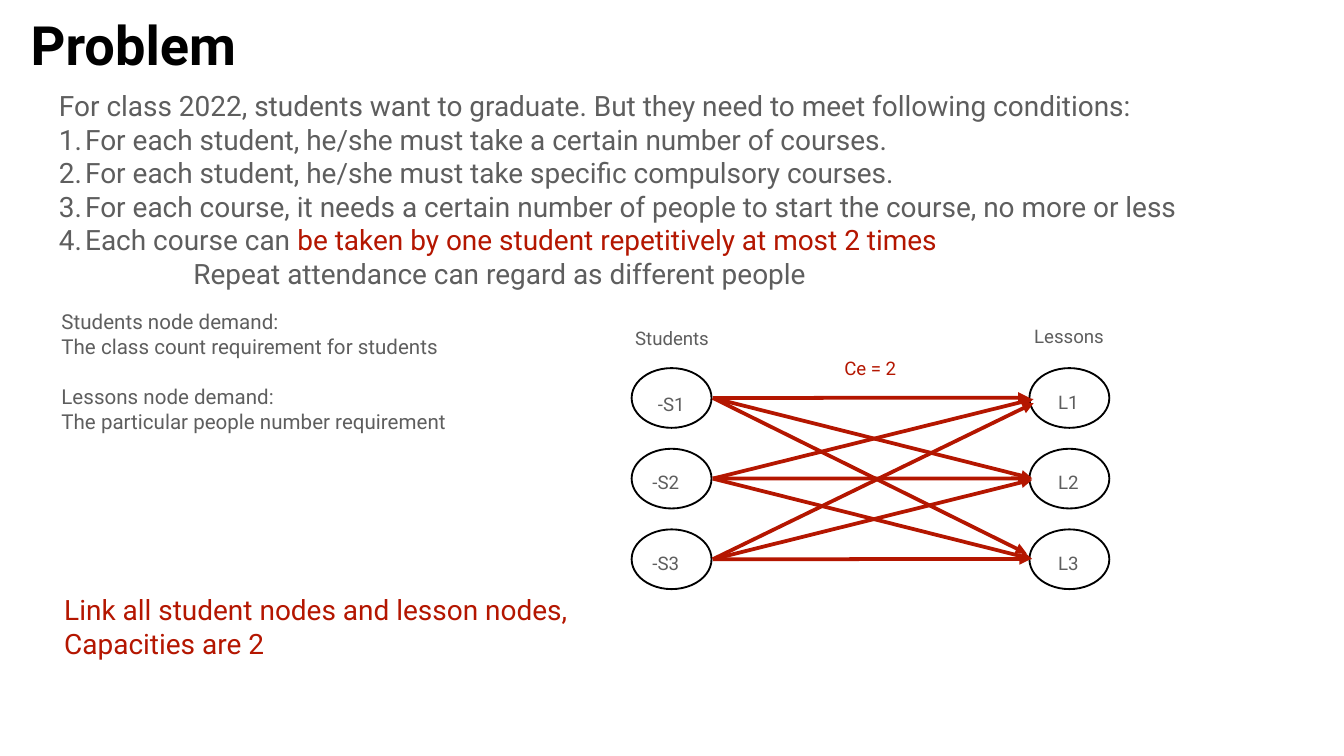
"""Builds the Problem slide on graduation conditions with its student-lesson flow graph."""
from pptx import Presentation
from pptx.dml.color import RGBColor as RGB
from pptx.enum.shapes import MSO_CONNECTOR as CONN, MSO_SHAPE as SHAPE
from pptx.enum.text import MSO_ANCHOR as ANCHOR, PP_ALIGN as ALIGN
from pptx.oxml.ns import qn
from pptx.util import Pt
from lxml.etree import SubElement

C = {"black": "000000", "grey": "5E5E5E", "red": "B41600"}
MARGINS = ("margin_left", "margin_top", "margin_right", "margin_bottom")


def add_text(box, lines, size, color="grey", bold=None, label=False, anchor=ANCHOR.MIDDLE):
    tf = s.shapes.add_textbox(*map(Pt, box)).text_frame
    frame = {"word_wrap": not label, "vertical_anchor": anchor, **dict.fromkeys(MARGINS, Pt(2.8))}
    for name, value in frame.items():
        setattr(tf, name, value)
    for i, line in enumerate(lines):
        p = tf.add_paragraph() if i else tf.paragraphs[0]
        p.alignment = ALIGN.CENTER if label else ALIGN.LEFT
        for text, run_color in [(line, color)] if isinstance(line, str) else line:
            r = p.add_run()
            r.text = text
            for name, value in {"name": "Roboto", "size": Pt(size), "bold": bold}.items():
                setattr(r.font, name, value)
            r.font.color.rgb = RGB.from_string(C[run_color])
    return tf


def set_indent(p, left, first):
    pPr = p._p.get_or_add_pPr()
    pPr.set("marL", str(Pt(left)))
    pPr.set("indent", str(Pt(first)))
    return pPr


prs = Presentation()
prs.slide_width, prs.slide_height = Pt(720), Pt(405)
s = prs.slides.add_slide(prs.slide_layouts[6])

title = add_text((13.7, 10, 128, 33), ["Problem"], 29, "black", bold=True)
title.paragraphs[0].line_spacing = 0.8

conditions = add_text((28.8, 44.6, 661.7, 143.3), [
    "For class 2022, students want to graduate. But they need to meet following conditions:",
    "For each student, he/she must take a certain number of courses.",
    "For each student, he/she must take specific compulsory courses.",
    "For each course, it needs a certain number of people to start the course, no more or less",
    [("Each course can ", "grey"), ("be taken by one student repetitively at most 2 times", "red")],
    "Repeat attendance can regard as different people",
], 15, anchor=ANCHOR.TOP)
for p in conditions.paragraphs[1:5]:
    pPr = set_indent(p, 14, -14)
    color = SubElement(SubElement(pPr, qn("a:buClr")), qn("a:srgbClr"))
    color.set("val", C["grey"])
    SubElement(pPr, qn("a:buAutoNum")).set("type", "arabicPeriod")
set_indent(conditions.paragraphs[5], 72, 0)

demands = add_text((30.1, 162.9, 231, 72), [
    "Students node demand:",
    "The class count requirement for students",
    "Lessons node demand:",
    "The particular people number requirement",
], 11)
demands.paragraphs[2].space_before = Pt(13.5)

add_text((31.6, 314.6, 314, 41.8),
         ["Link all student nodes and lesson nodes,", "Capacities are 2"], 15, "red")

node_w, node_h, pitch = 42.8, 32, 43.2
student_x, lesson_x, top = 338.4, 551.5, 197.2
rows = [top + pitch * i for i in range(3)]

for x in (student_x, lesson_x):
    for y in rows:
        sp = s.shapes.add_shape(SHAPE.OVAL, *map(Pt, (x, y, node_w, node_h)))
        sp.shadow.inherit = False
        sp.fill.background()
        sp.line.color.rgb = RGB.from_string(C["black"])
        sp.line.width = Pt(1)

labels = [
    ("Students", 334.1, 172.6, 51.8, "grey"), ("Lessons", 548.6, 171.4, 48.2, "grey"),
    ("Ce = 2", 446.4, 188.6, 39.6, "red"),
    ("-S1", 346.3, 207.6, 26.6, "grey"), ("-S2", 343.4, 249.8, 26.6, "grey"),
    ("-S3", 343.4, 293, 26.6, "grey"),
] + [(f"L{i + 1}", 563, y + 9.3, 18.7, "grey") for i, y in enumerate(rows)]
for text, x, y, w, color in labels:
    add_text((x, y, w, 17.3), [text], 10, color, label=True)

edge_ends = {
    (0, 0): (551.5, 213.1), (1, 1): (551.5, 256.3), (2, 2): (552.2, 299.5),
    (0, 1): (553, 256.3), (1, 2): (553, 299.5), (2, 1): (553, 257),
    (1, 0): (553.7, 213.8), (0, 2): (550.1, 296.6), (2, 0): (553.7, 216),
}
for (student, lesson), end in edge_ends.items():
    start = (student_x + node_w + 0.7, rows[student] + node_h / 2)
    edge = s.shapes.add_connector(CONN.STRAIGHT, *map(Pt, start + end))
    edge.line.color.rgb = RGB.from_string(C["red"])
    edge.line.width = Pt(2)
    SubElement(edge.line._get_or_add_ln(), qn("a:tailEnd")).set("type", "triangle")
    SubElement(edge._element.spPr, qn("a:effectLst"))

prs.save("out.pptx")
